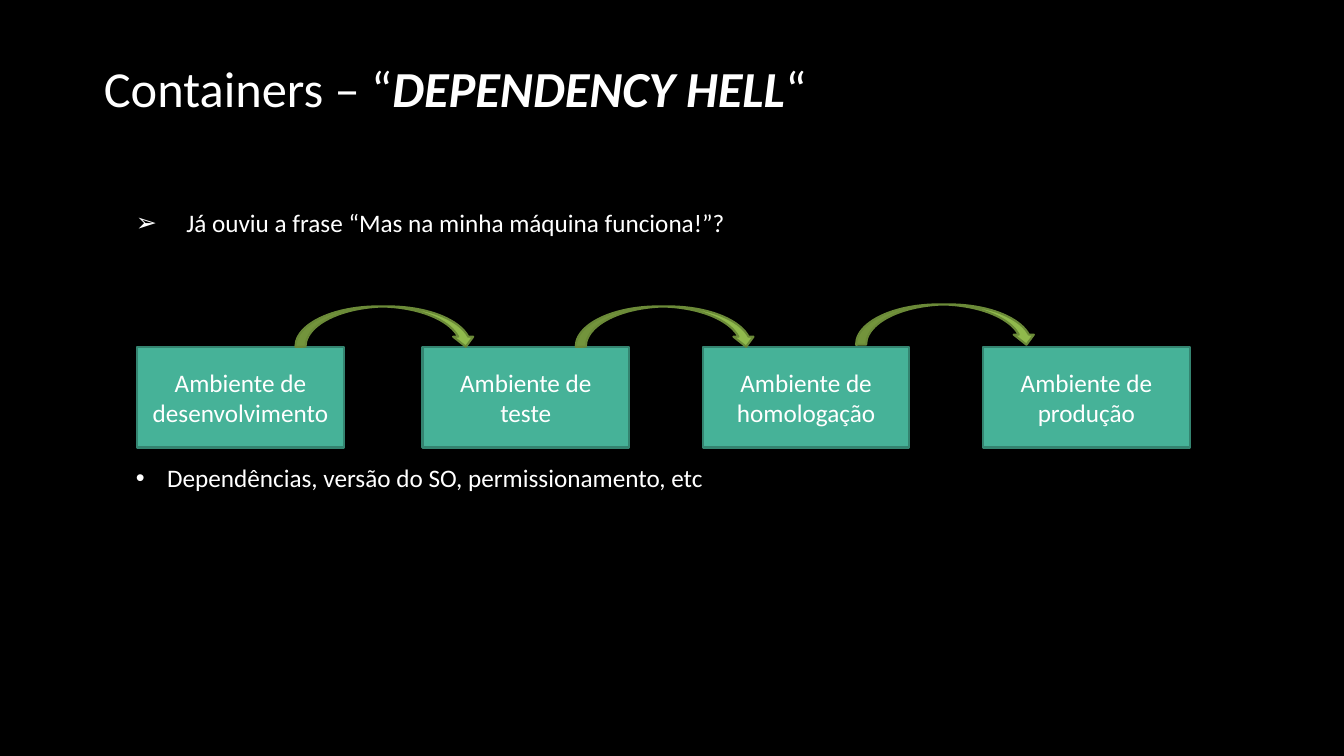
from pptx import Presentation
from pptx.dml.color import RGBColor
from pptx.enum.shapes import MSO_SHAPE
from pptx.enum.text import MSO_ANCHOR, MSO_AUTO_SIZE, PP_ALIGN
from pptx.util import Inches, Pt
from lxml import etree

RECTANGLE = MSO_SHAPE.RECTANGLE
CURVED_ARROW = MSO_SHAPE.CURVED_DOWN_ARROW
MIDDLE = MSO_ANCHOR.MIDDLE
LEFT, CENTER = PP_ALIGN.LEFT, PP_ALIGN.CENTER
GROW = MSO_AUTO_SIZE.SHAPE_TO_FIT_TEXT
NO_AUTOFIT = MSO_AUTO_SIZE.NONE
TITLE_ONLY = 5

FONT = "Calibri"
BLACK, WHITE = "000000", "FFFFFF"
TEAL, DARK_TEAL = "46B298", "348470"
GREEN, DARK_GREEN = "90BA4C", "6B8A38"
DRAWING_NS = "{http://schemas.openxmlformats.org/drawingml/2006/main}"

STAGES = ["desenvolvimento", "teste", "homologação", "produção"]
STAGE_OFFSETS = [0, 2.83, 5.61, 8.39]
STAGE_WIDTH, STAGE_HEIGHT = 2.05, 1
ARROW_WIDTH, ARROW_HEIGHT = 1.79, 0.4
ARROW_LEAD = 1.26  # distance from an arrow's start to the stage it points at


def color(hex_value):
    return RGBColor.from_string(hex_value)


def add_run(paragraph, text, size, emphasis=False):
    run = paragraph.add_run()
    run.text = text
    run.font.name = FONT
    run.font.size = Pt(size)
    run.font.bold = run.font.italic = emphasis
    run.font.color.rgb = color(WHITE)


def place_title(slide, box):
    title = slide.shapes.title
    title.left, title.top, title.width, title.height = map(Inches, box)
    frame = title.text_frame
    frame.vertical_anchor = MIDDLE
    frame.auto_size = NO_AUTOFIT
    paragraph = frame.paragraphs[0]
    paragraph.alignment = LEFT
    add_run(paragraph, "Containers – “", 36)
    add_run(paragraph, "DEPENDENCY HELL", 36, emphasis=True)
    add_run(paragraph, "“", 36)


def add_bullet(slide, box, text, symbol, indent, wrap=True):
    frame = slide.shapes.add_textbox(*map(Inches, box)).text_frame
    frame.word_wrap = wrap
    frame.auto_size = GROW
    paragraph = frame.paragraphs[0]
    add_run(paragraph, text, 18)
    properties = paragraph._p.get_or_add_pPr()
    properties.set("marL", str(Inches(indent)))
    properties.set("indent", str(-Inches(indent)))
    etree.SubElement(properties, DRAWING_NS + "buFont", typeface="Arial")
    etree.SubElement(properties, DRAWING_NS + "buChar", char=symbol)


def add_filled(slide, preset, box, fill, outline):
    shape = slide.shapes.add_shape(preset, *map(Inches, box))
    shape.shadow.inherit = False
    shape.fill.solid()
    shape.fill.fore_color.rgb = color(fill)
    shape.line.color.rgb = color(outline)
    shape.line.width = Pt(1.5)
    return shape


def add_pipeline(slide, left, top):
    """Row of environments, each linked to the one before by a curved arrow."""
    for stage, offset in zip(STAGES, STAGE_OFFSETS):
        stage_box = (left + offset, top, STAGE_WIDTH, STAGE_HEIGHT)
        frame = add_filled(slide, RECTANGLE, stage_box, TEAL, DARK_TEAL).text_frame
        frame.word_wrap = True
        frame.vertical_anchor = MIDDLE
        paragraph = frame.paragraphs[0]
        paragraph.alignment = CENTER
        add_run(paragraph, f"Ambiente de {stage}", 18)
    for offset, rise in zip(STAGE_OFFSETS[1:], [0.4, 0.4, 0.42]):
        arrow_box = (left + offset - ARROW_LEAD, top - rise, ARROW_WIDTH, ARROW_HEIGHT)
        add_filled(slide, CURVED_ARROW, arrow_box, GREEN, DARK_GREEN)


def main():
    deck = Presentation()
    deck.slide_width, deck.slide_height = Inches(13.33), Inches(7.5)
    slide = deck.slides.add_slide(deck.slide_layouts[TITLE_ONLY])
    slide.background.fill.solid()
    slide.background.fill.fore_color.rgb = color(BLACK)

    place_title(slide, (0.93, 0.07, 11.08, 1.59))
    add_bullet(slide, (1.25, 2.01, 6.14, 0.4),
               "Já ouviu a frase “Mas na minha máquina funciona!”?", "➢", 0.5, wrap=False)
    add_pipeline(slide, 1.36, 3.44)
    add_bullet(slide, (1.25, 4.54, 6.44, 0.4),
               "Dependências, versão do SO, permissionamento, etc", "•", 0.31)
    deck.save("out.pptx")


if __name__ == "__main__":
    main()
